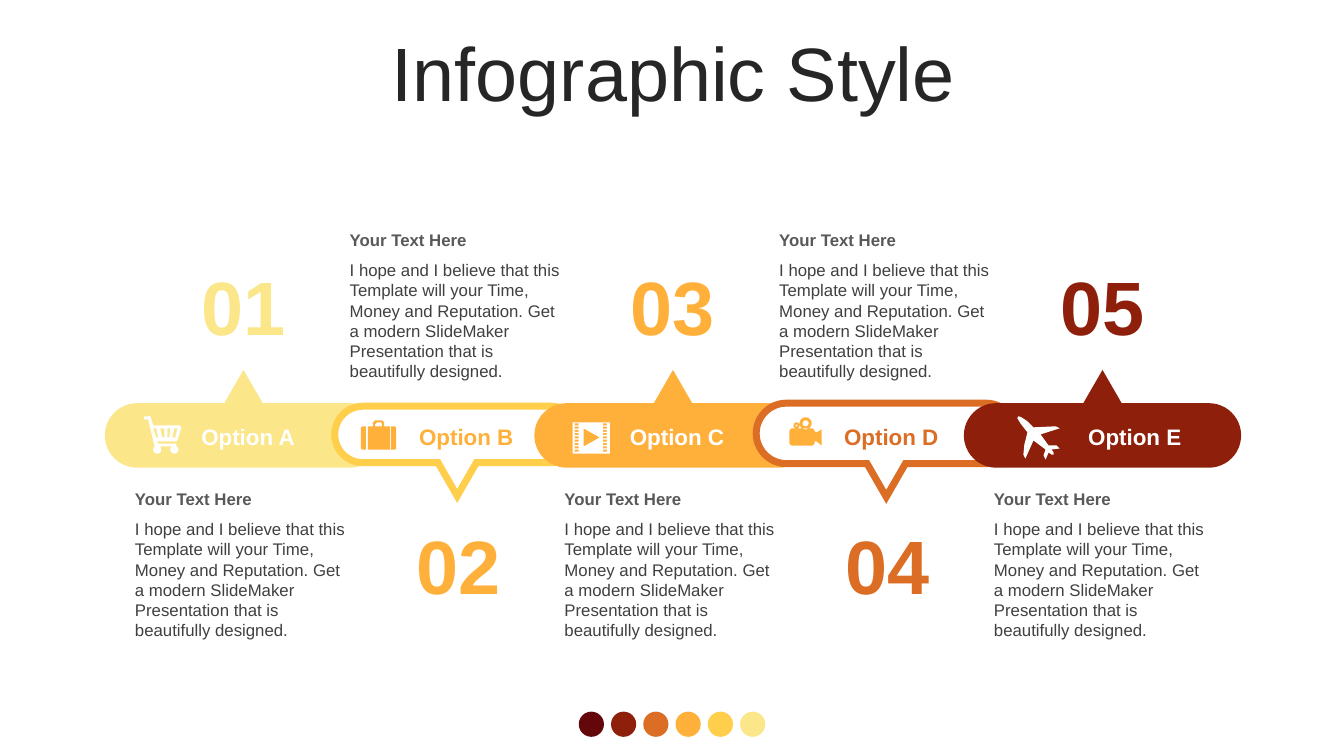
import math

import pptx
import pptx.dml.color
import pptx.enum.shapes
import pptx.enum.text
import pptx.oxml.ns
import pptx.util
from lxml import etree
from pptx.util import Inches

RGBColor = pptx.dml.color.RGBColor
ALIGN = pptx.enum.text.PP_ALIGN
WINE = RGBColor(0x63, 0x07, 0x0A)
RED = RGBColor(0x8E, 0x1F, 0x0B)
RUST = RGBColor(0xDB, 0x6D, 0x25)
AMBER = RGBColor(0xFF, 0xB0, 0x3B)
GOLD = RGBColor(0xFF, 0xCE, 0x4B)
CREAM = RGBColor(0xFC, 0xE6, 0x8A)
WHITE = RGBColor(0xFF, 0xFF, 0xFF)
INK = RGBColor(0x26, 0x26, 0x26)
DARK = RGBColor(0x40, 0x40, 0x40)
GREY = RGBColor(0x59, 0x59, 0x59)

STEP = 2.13
HEAD = "Your Text Here"
BODY = ("I hope and I believe that this Template will your Time, Money and "
        "Reputation. Get a modern SlideMaker Presentation that is beautifully designed.")


def arc(x, y, r, start=0, end=360):
    """Points on a circle; angles in degrees, clockwise from the right."""
    count = max(4, round(abs(end - start) / 7.5))
    turns = [math.radians(start + (end - start) * i / count) for i in range(count + 1)]
    return [(x + r * math.cos(t), y + r * math.sin(t)) for t in turns]


def rect(x, y, w, h):
    return [(x, y), (x + w, y), (x + w, y + h), (x, y + h)]


def pill(x, y, w, h, down):
    """Outline of a round-ended bar with a pointer at its middle."""
    r, mid, half, tall = h / 2, x + w / 2, 0.19, 0.33
    left = arc(x + r, y + r, r, 90, 270)
    right = arc(x + w - r, y + r, r, -90, 90)
    if down:
        return left + right + [(mid + half, y + h), (mid, y + h + tall), (mid - half, y + h)]
    return left + [(mid - half, y), (mid, y - tall), (mid + half, y)] + right


def cart():
    frame = [(1.49, 4.12), (1.52, 4.22), (1.78, 4.22), (1.8, 4.24), (1.76, 4.37),
             (1.74, 4.38), (1.56, 4.38), (1.57, 4.4), (1.75, 4.4), (1.75, 4.44)]
    frame += arc(1.73, 4.46, 0.04, -50, 230) + arc(1.56, 4.46, 0.04, -50, 230)
    frame += [(1.47, 4.16), (1.43, 4.16), (1.43, 4.13), (1.48, 4.13)]
    slots = [(1.52, 1.55, 1.55, 1.57), (1.59, 1.63, 1.61, 1.63),
             (1.66, 1.69, 1.66, 1.68), (1.73, 1.76, 1.71, 1.74)]
    return [frame] + [[(a, 4.25), (b, 4.25), (d, 4.34), (c, 4.34)] for a, b, c, d in slots]


def case():
    left = arc(3.6, 4.25, 0.02, 180, 270) + [(3.63, 4.23), (3.63, 4.46)]
    left += arc(3.6, 4.44, 0.02, 90, 180)
    right = [(3.58 + 3.93 - x, y) for x, y in left]
    trunk = [(3.65, 4.46), (3.65, 4.23), (3.7, 4.23), (3.7, 4.19), (3.72, 4.17),
             (3.79, 4.17), (3.81, 4.19), (3.81, 4.23), (3.87, 4.23), (3.87, 4.46)]
    grip = [(3.72, 4.23), (3.72, 4.21), (3.74, 4.19), (3.78, 4.19), (3.79, 4.21), (3.79, 4.23)]
    return [left, right, trunk, grip]


def film():
    holes = [rect(x, 4.2 + 0.26 * i / 8, 0.04, 0.02) for x in (5.7, 5.98) for i in range(9)]
    return [rect(5.68, 4.19, 0.37, 0.31), [(5.79, 4.25), (5.79, 4.43), (5.95, 4.34)]] + holes


def camera():
    hull = arc(7.86, 4.28, 0.03, 180, 270) + arc(8.05, 4.28, 0.03, -90, 0)
    hull += [(8.1, 4.29), (8.15, 4.26), (8.15, 4.42), (8.1, 4.38), (8.08, 4.38)]
    hull += arc(8.05, 4.39, 0.03, 0, 90) + arc(7.86, 4.39, 0.03, 90, 180)
    reels = [arc(7.99, 4.2, 0.06), arc(7.99, 4.2, 0.03), arc(7.9, 4.22, 0.03), arc(7.9, 4.22, 0.01)]
    return [hull] + reels


def plane():
    return [[(10.51, 4.45), (10.43, 4.46), (10.45, 4.49), (10.45, 4.51), (10.43, 4.51),
             (10.4, 4.49), (10.37, 4.56), (10.35, 4.52), (10.37, 4.46), (10.25, 4.37),
             (10.17, 4.55), (10.15, 4.51), (10.16, 4.41), (10.19, 4.29), (10.12, 4.2),
             (10.09, 4.15), (10.1, 4.13), (10.13, 4.14), (10.19, 4.18), (10.25, 4.24),
             (10.47, 4.23), (10.51, 4.25), (10.32, 4.31), (10.4, 4.42), (10.48, 4.42)]]


class Deck:
    def __init__(self):
        self.show = pptx.Presentation()
        self.show.slide_width = Inches(13.33)
        self.show.slide_height = Inches(7.5)
        self.slide = self.show.slides.add_slide(self.show.slide_layouts[5])
        self.face = "Arial"

    def label(self, shape, text, size, color, bold=False, align=ALIGN.LEFT):
        shape.text_frame.word_wrap = True
        para = shape.text_frame.paragraphs[0]
        para.text = text
        para.alignment = align
        style = {"name": self.face, "size": pptx.util.Pt(size), "bold": bold}
        for key, value in style.items():
            setattr(para.font, key, value)
        para.font.color.rgb = color
        return para

    def title(self, text, box):
        shape = self.slide.shapes.title
        for key, value in zip(("left", "top", "width", "height"), box):
            setattr(shape, key, Inches(value))
        para = self.label(shape, text, 54, INK, align=ALIGN.CENTER)
        para.line_spacing = 0.9
        frame = {"vertical_anchor": pptx.enum.text.MSO_ANCHOR.MIDDLE,
                 "auto_size": pptx.enum.text.MSO_AUTO_SIZE.NONE}
        for key, value in frame.items():
            setattr(shape.text_frame, key, value)

    def text(self, text, box, size, color, **style):
        shape = self.slide.shapes.add_textbox(*map(Inches, box))
        self.label(shape, text, size, color, **style)

    def paint(self, shape, fill, line=None):
        shape.shadow.inherit = False
        shape.fill.solid()
        shape.fill.fore_color.rgb = fill
        if line is None:
            shape.line.fill.background()
            return
        shape.line.color.rgb = line
        shape.line.width = pptx.util.Pt(5)
        edge = shape.element.spPr.find(pptx.oxml.ns.qn("a:ln"))
        etree.SubElement(edge, pptx.oxml.ns.qn("a:miter"), lim="800000")

    def dot(self, x, y, size, fill):
        oval = pptx.enum.shapes.MSO_SHAPE.OVAL
        shape = self.slide.shapes.add_shape(oval, *map(Inches, (x, y, size, size)))
        self.paint(shape, fill)

    def form(self, loops, fill, line=None):
        """Draw closed loops as one shape; inner loops become holes."""
        loops = [[(Inches(x), Inches(y)) for x, y in loop] for loop in loops]
        pen = self.slide.shapes.build_freeform(*loops[0][0])
        for i, loop in enumerate(loops):
            if i:
                pen.move_to(*loop[0])
            pen.add_line_segments(loop[1:], close=True)
        self.paint(pen.convert_to_shape(), fill, line)


def main():
    deck = Deck()
    deck.title("Infographic Style", (0.35, 0.37, 12.66, 0.79))

    for i, color in enumerate((WINE, RED, RUST, AMBER, GOLD, CREAM)):
        deck.dot(5.74 + 0.32 * i, 7.06, 0.25, color)

    # bar box, bar colour, number colour, label left and width, icon
    steps = [
        ((1.04, 4, 2.75, 0.64), CREAM, CREAM, 1.8, 1.32, cart),
        ((3.32, 4.03, 2.43, 0.56), GOLD, AMBER, 3.98, 1.29, case),
        ((5.3, 4, 2.75, 0.64), AMBER, AMBER, 6.11, 1.21, film),
        ((7.5, 4, 2.58, 0.6), RUST, RUST, 8.18, 1.32, camera),
        ((9.56, 4, 2.75, 0.64), RED, RED, 10.65, 1.21, plane),
    ]
    for i, (bar, color, *rest) in enumerate(steps):
        down = i % 2 == 1
        deck.form([pill(*bar, down)], WHITE if down else color, color if down else None)

    for i, (bar, color, tint, left, width, icon) in enumerate(steps):
        down = i % 2 == 1
        high, low = 2.53, 5.1
        top = high if down else low
        x = 1.24 + STEP * i
        deck.text(HEAD, (x, top - 0.3, 2.33, 0.3), 12, GREY, bold=True)
        deck.text(BODY, (x, top, 2.35, 1.31), 12, DARK)
        deck.text(f"{i + 1:02}", (x + 0.62, low if down else high, 1.11, 1.01), 54, tint,
                  bold=True, align=ALIGN.CENTER)
        front = tint if down else WHITE
        deck.text("Option " + "ABCDE"[i], (left, 4.15, width, 0.37), 16, front,
                  bold=True, align=ALIGN.CENTER)
        deck.form(icon(), AMBER if down else WHITE)

    deck.show.save("out.pptx")


if __name__ == "__main__":
    main()
